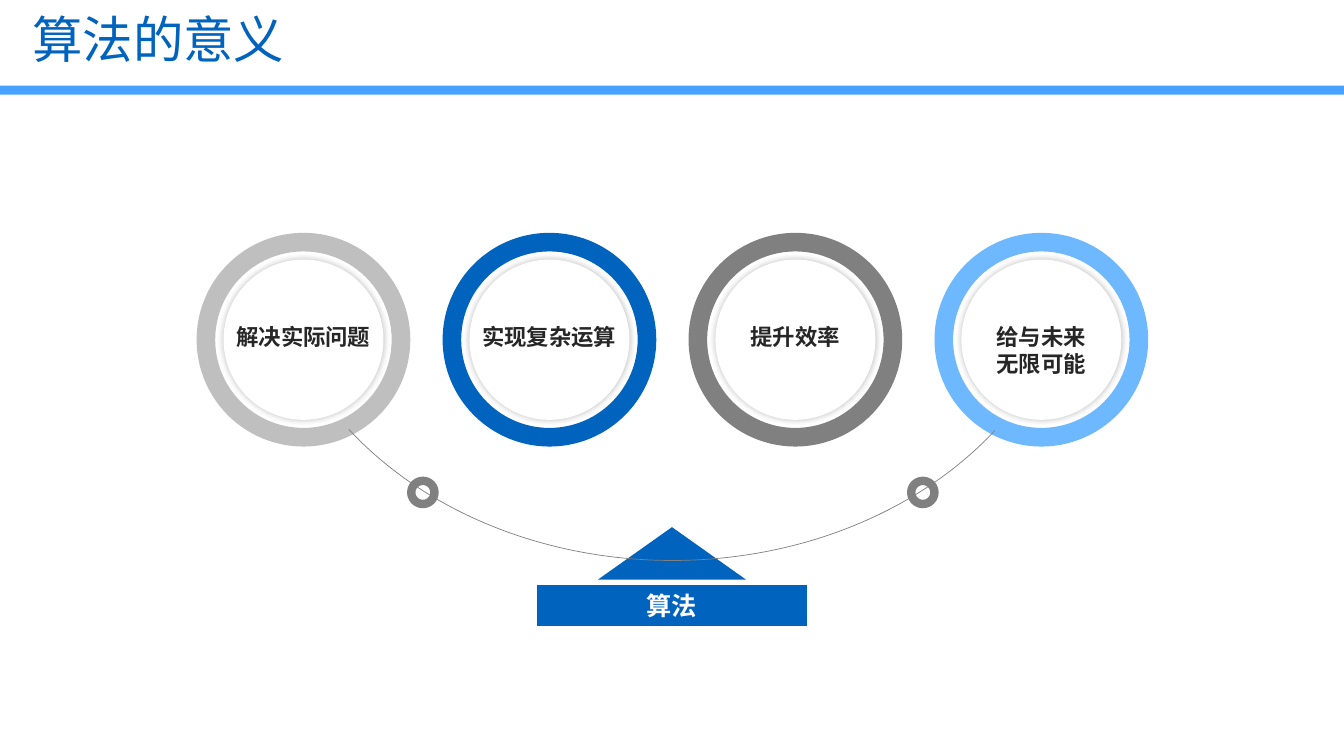
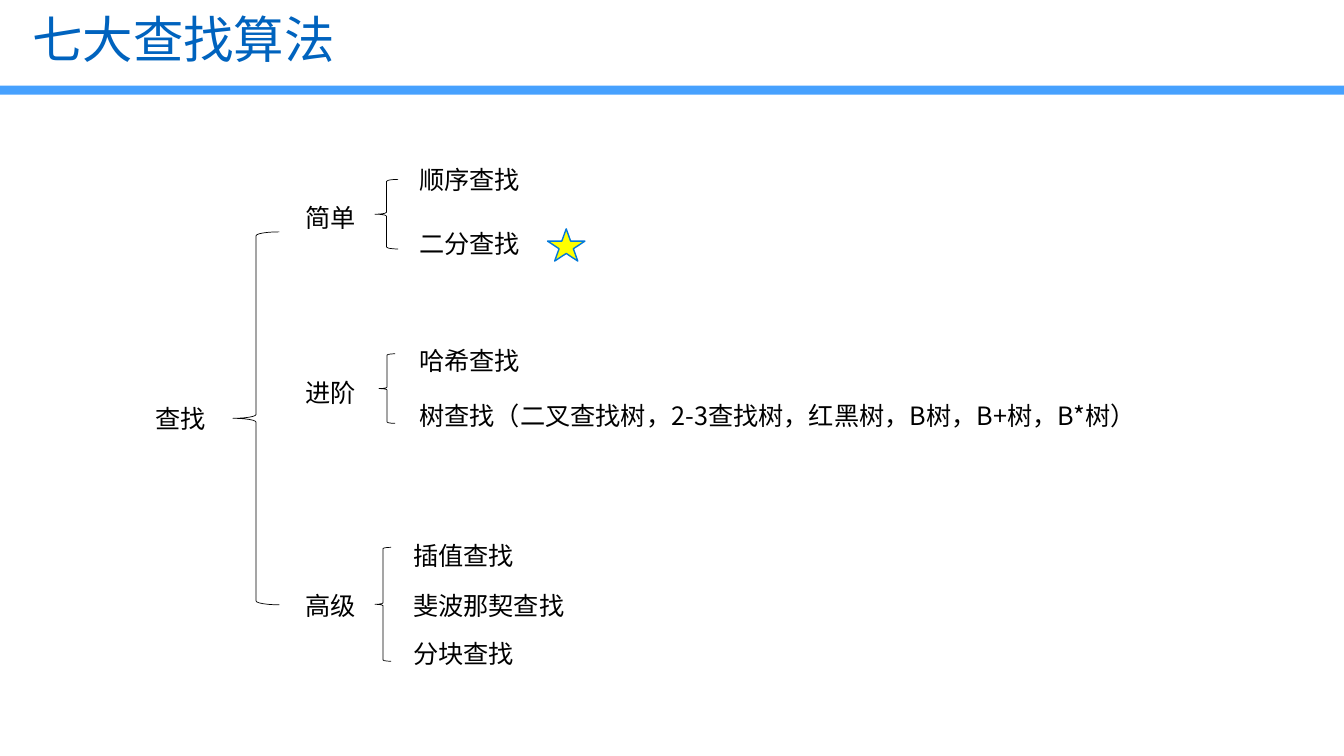
from lxml import etree
from pptx import Presentation
from pptx import util as u
from pptx.dml.color import RGBColor
from pptx.enum import shapes, text
from pptx.oxml import ns

BLUE, GREY, BLACK, WHITE = "0063BE", "808080", "000000", "FFFFFF"
CJK = "Noto Sans CJK SC"
MSO = shapes.MSO_SHAPE
LEFT, CENTER = text.PP_ALIGN.LEFT, text.PP_ALIGN.CENTER
TOP, MIDDLE = text.MSO_ANCHOR.TOP, text.MSO_ANCHOR.MIDDLE
rgb = RGBColor.from_string

prs = Presentation()
prs.slide_width, prs.slide_height = u.Inches(13.33), u.Inches(7.5)
# The grid has 100 columns and 100 rows
COL, ROW = prs.slide_width / 100, prs.slide_height / 100


def draw(s, kind, x, y, w, h, fill=None, line=None, width=0.5):
    """Add a preset shape, or a text box if kind is None, on the grid."""
    box = [int(n) for n in (x * COL, y * ROW, w * COL, h * ROW)]
    if kind is None:
        return s.shapes.add_textbox(*box)
    sp = s.shapes.add_shape(kind, *box)
    sp.shadow.inherit = False
    if fill:
        sp.fill.solid()
        sp.fill.fore_color.rgb = rgb(fill)
    else:
        sp.fill.background()
    if line:
        sp.line.color.rgb = rgb(line)
        sp.line.width = u.Pt(width)
    else:
        sp.line.fill.background()
    return sp


def write(sp, words, size=18, color=BLACK, font=CJK, bold=False,
          align=LEFT, anchor=TOP, spacing=None):
    """Fill a shape with one paragraph per line of words."""
    tf = sp.text_frame
    tf.word_wrap = True
    tf.auto_size = text.MSO_AUTO_SIZE.NONE
    tf.vertical_anchor = anchor
    for i, line in enumerate(words.split("\n")):
        p = tf.add_paragraph() if i else tf.paragraphs[0]
        p.alignment = align
        p.line_spacing = spacing
        r = p.add_run()
        r.text = line
        r.font.size, r.font.bold, r.font.name = u.Pt(size), bold, font
        r.font.color.rgb = rgb(color)
        ea = etree.SubElement(r.font._element, ns.qn("a:ea"))
        ea.set("typeface", CJK)


# Shared layout: title place and band
layout = prs.slide_layouts[5]
title = layout.placeholders[0]
title.left, title.top = int(1.65 * COL), int(1.33 * ROW)
title.width, title.height = int(91.37 * COL), int(8.53 * ROW)

slides = []
for words in ("算法的意义", "七大查找算法"):
    s = prs.slides.add_slide(layout)
    write(s.shapes.title, words, size=36, color=BLUE, anchor=MIDDLE, spacing=0.9)
    slides.append(s)
meaning, search = slides

band = draw(meaning, MSO.RECTANGLE, 0, 11.33, 100, 1.2, fill="47A1FE")
layout.shapes.element.append(band.element)

# Slide 1: rings with a softly shadowed disc and a label
rings = [
    ("解决实际问题", "BFBFBF"),
    ("实现复杂运算", BLUE),
    ("提升效率", GREY),
    ("给与未来\n无限可能", "6EB8FF"),
]
for i, (words, color) in enumerate(rings):
    x = 14.63 + 18.3 * i
    ring = draw(meaning, MSO.DONUT, x, 30.8, 15.9, 28.27, fill=color)
    ring.adjustments[0] = 0.087
    disc = draw(meaning, MSO.OVAL, x + 2, 34.33, 11.9, 21.2, fill=WHITE)
    effects = disc.element.spPr.find(ns.qn("a:effectLst"))
    shadow = etree.SubElement(effects, ns.qn("a:outerShdw"),
                              blurRad=str(u.Pt(5)), dist="0", algn="ctr")
    tint = etree.SubElement(shadow, ns.qn("a:srgbClr"), val=BLACK)
    etree.SubElement(tint, ns.qn("a:alpha"), val="25000")
    label = draw(meaning, None, x + 1.57, 42.13, 12.75, 4.93 + 3.6 * words.count("\n"))
    write(label, words, size=16, color="262626", font="Calibri", bold=True, align=CENTER)

# Pedestal
draw(meaning, MSO.ISOSCELES_TRIANGLE, 44.5, 69.73, 11, 6.93, fill=BLUE)
for x in (30.6, 67.8):
    draw(meaning, MSO.OVAL, x, 63.6, 1.73, 3.07, fill=WHITE, line=GREY, width=6)
base = draw(meaning, MSO.RECTANGLE, 39.9, 77.33, 20.2, 5.47,
            fill=BLUE, line=WHITE, width=0.25)
write(base, "算法", color=WHITE, font="Calibri", bold=True, align=CENTER, anchor=MIDDLE)

# Hanging arc
arc = draw(meaning, MSO.ARC, 19.95, -12.53, 60.17, 86.67, line=GREY)
arc.adjustments[0], arc.adjustments[1] = 126.78, 197.1
arc.element.spPr.xfrm.set("flipV", "1")

# Slide 2: root of the tree
write(draw(search, None, 10.8, 52.67, 5.93, 5.33), "查找")
draw(search, MSO.LEFT_BRACE, 17.33, 30.67, 3.45, 49.33, line=BLACK)

# Branches: name, its row, brace box, column of the leaves, leaves with their rows
branches = [
    ("简单", 26.13, (27.9, 23.73, 1.73, 9.2), 30.46,
     [("顺序查找", 21.07), ("二分查找", 29.6)]),
    ("进阶", 49.2, (28.2, 46.8, 1.2, 9.2), 30.46,
     [("哈希查找", 45.07),
      ("树查找（二叉查找树，2-3查找树，红黑树，B树，B+树，B*树）", 52.27)]),
    ("高级", 77.47, (27.9, 72.4, 1.2, 15.07), 30,
     [("插值查找", 70.8), ("斐波那契查找", 77.47), ("分块查找", 83.73)]),
]
for name, y, brace, x, leaves in branches:
    write(draw(search, None, 21.98, y, 5.93, 5.33), name)
    draw(search, MSO.LEFT_BRACE, *brace, line=BLACK)
    for words, row in leaves:
        write(draw(search, None, x, row, 56.86, 5.33), words)

# Highlight
draw(search, MSO.STAR_5_POINT, 40.74, 30.27, 2.78, 4.27,
     fill="FFFF00", line="0178D9", width=1)

prs.save("out.pptx")
